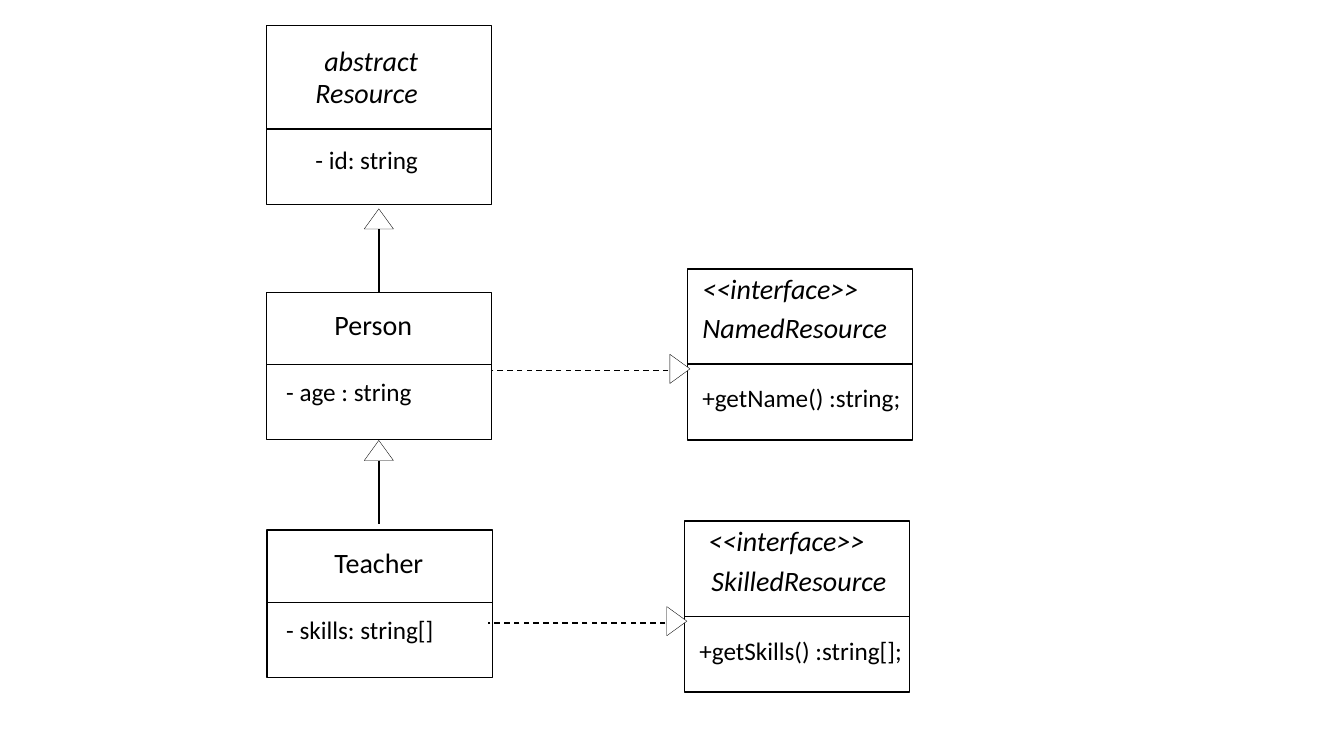
from pptx import Presentation
from pptx.dml.color import RGBColor
from pptx.enum.dml import MSO_LINE
from pptx.enum.shapes import MSO_CONNECTOR, MSO_SHAPE
from pptx.oxml.ns import qn
from pptx.util import Pt
from lxml import etree

RECTANGLE = MSO_SHAPE.RECTANGLE
TRIANGLE = MSO_SHAPE.ISOSCELES_TRIANGLE
STRAIGHT = MSO_CONNECTOR.STRAIGHT
DASH = MSO_LINE.DASH

THEME = {
    "ink": RGBColor(0, 0, 0), "paper": RGBColor(255, 255, 255), "font": "Calibri",
    "name_size": Pt(20), "member_size": Pt(18), "line": Pt(1), "head_line": Pt(0.25),
}
CLASS_WIDTH = 161
HEAD_WIDTH, HEAD_HEIGHT = 20.9, 14.4

prs = Presentation()
prs.slide_width, prs.slide_height = Pt(960), Pt(540)
slide = prs.slides.add_slide(prs.slide_layouts[6])
shapes = slide.shapes


def add_outline(kind, left, top, width, height, weight):
    outline = shapes.add_shape(kind, Pt(left), Pt(top), Pt(width), Pt(height))
    outline.shadow.inherit = False
    outline.fill.solid()
    outline.fill.fore_color.rgb = THEME["paper"]
    outline.line.color.rgb = THEME["ink"]
    outline.line.width = weight
    return outline


def add_line(x1, y1, x2, y2):
    line = shapes.add_connector(STRAIGHT, Pt(x1), Pt(y1), Pt(x2), Pt(y2))
    line.line.color.rgb = THEME["ink"]
    line.line.width = THEME["line"]
    etree.SubElement(line._element.spPr, qn("a:effectLst"))
    return line


# Classes: left, top, height, divider y, names, member
# Each text: wording, left, top, width
classes = [
    (190.2, 18, 128.2, 92.2,
     [("abstract", 224.6, 27.4, 82), ("Resource", 218.2, 50.4, 88)],
     ("- id: string", 218.2, 99.6, 145)),
    (190.2, 208.8, 105.1, 260.2,
     [("Person", 231.8, 216, 70.6)],
     ("- age : string", 197.3, 265, 145)),
    (190.8, 378.7, 105.1, 430.2,
     [("Teacher", 231.8, 385.9, 78.5)],
     ("- skills: string[]", 197.3, 434.9, 145)),
    (491, 192.2, 122.1, 260,
     [("<<interface>>", 494.6, 190.1, 127.4), ("NamedResource", 494.6, 218.2, 151.2)],
     ("+getName() :string;", 494.6, 269.3, 163.4)),
    (488.9, 372.2, 122.1, 440.3,
     [("<<interface>>", 499, 370.1, 127.4), ("SkilledResource", 501.1, 398.9, 140.4)],
     ("+getSkills() :string[];", 492.5, 450, 163.4)),
]
for left, top, height, divider, names, member in classes:
    add_outline(RECTANGLE, left, top, CLASS_WIDTH, height, THEME["line"])
    add_line(left, divider, left + CLASS_WIDTH, divider)
    is_abstract = len(names) > 1
    for wording, text_left, text_top, text_width in [*names, member]:
        is_member = wording == member[0]
        label = shapes.add_textbox(Pt(text_left), Pt(text_top), Pt(text_width),
                                   Pt(29 if is_member else 31.5))
        label.text_frame.word_wrap = is_member
        paragraph = label.text_frame.paragraphs[0]
        paragraph.text = wording
        font = paragraph.font
        font.name = THEME["font"]
        font.size = THEME["member_size" if is_member else "name_size"]
        font.color.rgb = THEME["ink"]
        font.italic = is_abstract and not is_member

# Inheritance: solid line up to a hollow head
PARENT_X = 270.6
for head_top, line_end in [(149.2, 208.8), (314.6, 374.2)]:
    add_outline(TRIANGLE, PARENT_X - HEAD_WIDTH / 2, head_top,
                HEAD_WIDTH, HEAD_HEIGHT, THEME["head_line"])
    add_line(PARENT_X, head_top + HEAD_HEIGHT, PARENT_X, line_end)

# Implementation: dashed line right to a hollow head
for head_left, line_y, line_start in [(475.2, 264.8, 351.2), (473, 445, 348.7)]:
    head = add_outline(TRIANGLE, head_left, line_y - 8.5,
                       HEAD_WIDTH, HEAD_HEIGHT, THEME["head_line"])
    head.rotation = 90
    add_line(head_left + 2.2, line_y, line_start, line_y).line.dash_style = DASH

prs.save("out.pptx")
